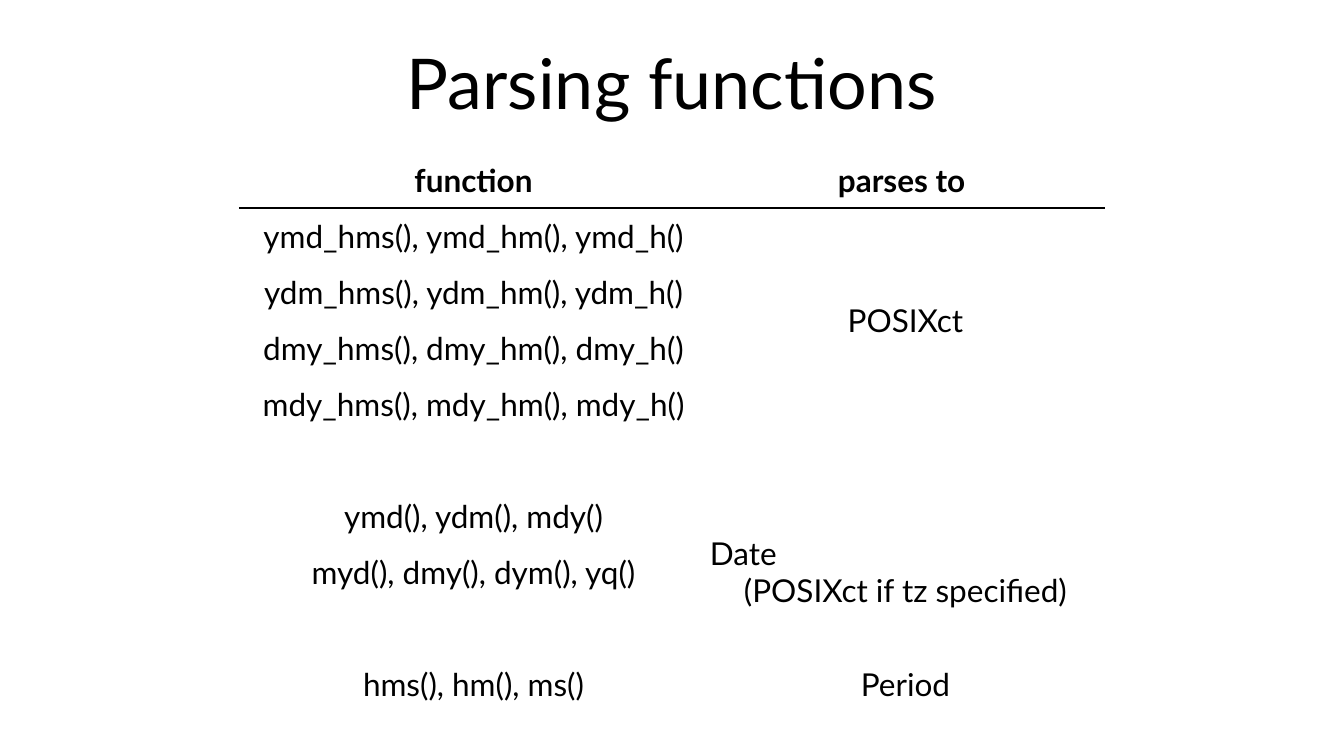
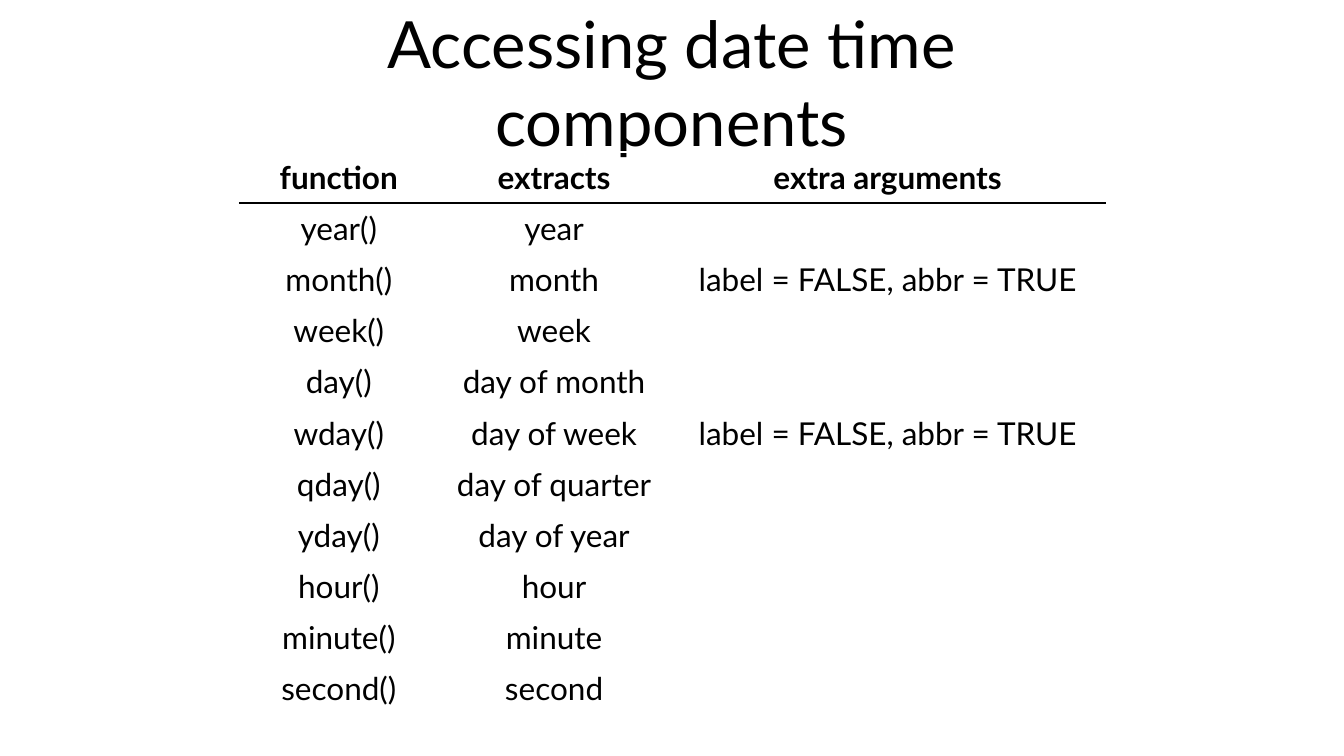
import pptx
import pptx.dml.color
import pptx.enum.text
import pptx.oxml
import pptx.oxml.ns
import pptx.util

PX = 12700  # EMU per px, on a 1920 x 1080 px slide
FONT = "Lato"
INK, PAPER = "000000", "FFFFFF"
INSET = 4 * PX
BORDER = 4 * PX
TITLE_BOX = [v * PX for v in (315, 22, 1289, 189)]
TABLE_LEFT, TABLE_TOP = 343, 217

SLIDES = [
    {
        "title": "Parsing functions",
        "title_size": 100,
        "cols": [667, 567],
        "row_height": 80,
        "merges": [(2, 3), (6, 8)],  # first and last rows, in the last column
        "rows": [
            ["function", "parses to "],
            ["ymd_hms(), ymd_hm(), ymd_h()", ""],
            ["ydm_hms(), ydm_hm(), ydm_h()", "POSIXct"],
            ["dmy_hms(), dmy_hm(), dmy_h()", ""],
            ["mdy_hms(), mdy_hm(), mdy_h()", ""],
            ["", ""],
            ["ymd(), ydm(), mdy()", "Date\n(POSIXct if tz specified)"],
            ["myd(), dmy(), dym(), yq()", ""],
            ["", ""],
            ["hms(), hm(), ms()", "Period"],
        ],
    },
    {
        "title": "Accessing date time components",
        "title_size": 93,
        "cols": [282, 333, 620],
        "row_height": 73,
        "merges": [],
        "rows": [
            ["function", "extracts", "extra arguments"],
            ["year()", "year", ""],
            ["month()", "month", "label = FALSE, abbr = TRUE"],
            ["week()", "week", ""],
            ["day()", "day of month", ""],
            ["wday()", "day of week", "label = FALSE, abbr = TRUE"],
            ["qday()", "day of quarter", ""],
            ["yday()", "day of year", ""],
            ["hour()", "hour", ""],
            ["minute()", "minute", ""],
            ["second()", "second", ""],
        ],
    },
]


def style_paragraph(p, size, bold=False):
    p.alignment = pptx.enum.text.PP_ALIGN.CENTER
    p.font.name = FONT
    p.font.size = pptx.util.Pt(size)
    p.font.bold = bold
    p.font.color.rgb = pptx.dml.color.RGBColor.from_string(INK)


def set_borders(cell, top, bottom):
    """Draw white side borders, and top and bottom ones in the given colours."""
    tc_pr = cell._tc.get_or_add_tcPr()
    for side, color in zip("LRTB", (PAPER, PAPER, top, bottom)):
        tc_pr.append(pptx.oxml.parse_xml(
            f'<a:ln{side} {pptx.oxml.ns.nsdecls("a")} w="{BORDER}">'
            f'<a:solidFill><a:srgbClr val="{color}"/></a:solidFill></a:ln{side}>'))


prs = pptx.Presentation()
prs.slide_width = 1920 * PX
prs.slide_height = 1080 * PX

for content in SLIDES:
    s = prs.slides.add_slide(prs.slide_layouts[6])

    tf = s.shapes.add_textbox(*TITLE_BOX).text_frame
    tf.word_wrap = True
    tf.vertical_anchor = pptx.enum.text.MSO_ANCHOR.MIDDLE
    tf.margin_left = tf.margin_right = tf.margin_top = tf.margin_bottom = INSET
    tf.text = content["title"]
    style_paragraph(tf.paragraphs[0], content["title_size"])

    rows, cols = content["rows"], content["cols"]
    row_height = content["row_height"] * PX
    table = s.shapes.add_table(
        len(rows), len(cols), TABLE_LEFT * PX, TABLE_TOP * PX,
        sum(cols) * PX, len(rows) * row_height).table
    table.first_row = True
    table.horz_banding = False
    for column, width in zip(table.columns, cols):
        column.width = width * PX

    for i, row in enumerate(rows):
        table.rows[i].height = row_height
        for j, text in enumerate(row):
            cell = table.cell(i, j)
            cell.text = text
            cell.vertical_anchor = pptx.enum.text.MSO_ANCHOR.MIDDLE
            cell.margin_left = cell.margin_right = INSET
            cell.margin_top = cell.margin_bottom = INSET
            set_borders(cell, INK if i == 1 else PAPER, INK if i == 0 else PAPER)
            cell.fill.background()
            paragraphs = cell.text_frame.paragraphs
            for p in paragraphs:
                style_paragraph(p, 45, bold=i == 0)
            if len(paragraphs) > 1:
                paragraphs[0].alignment = pptx.enum.text.PP_ALIGN.LEFT

    last = len(cols) - 1
    for first_row, last_row in content["merges"]:
        table.cell(first_row, last).merge(table.cell(last_row, last))

prs.save("out.pptx")
